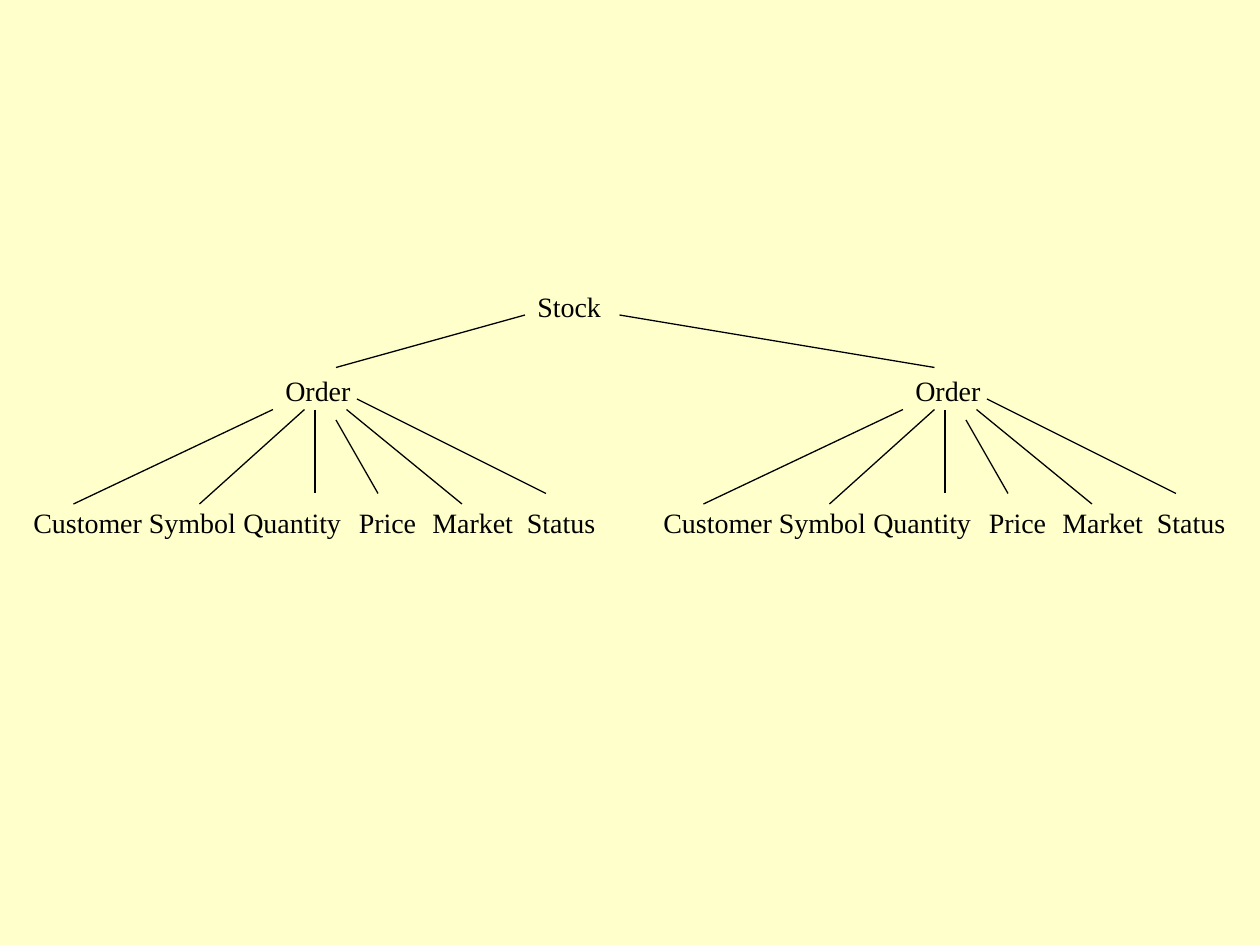
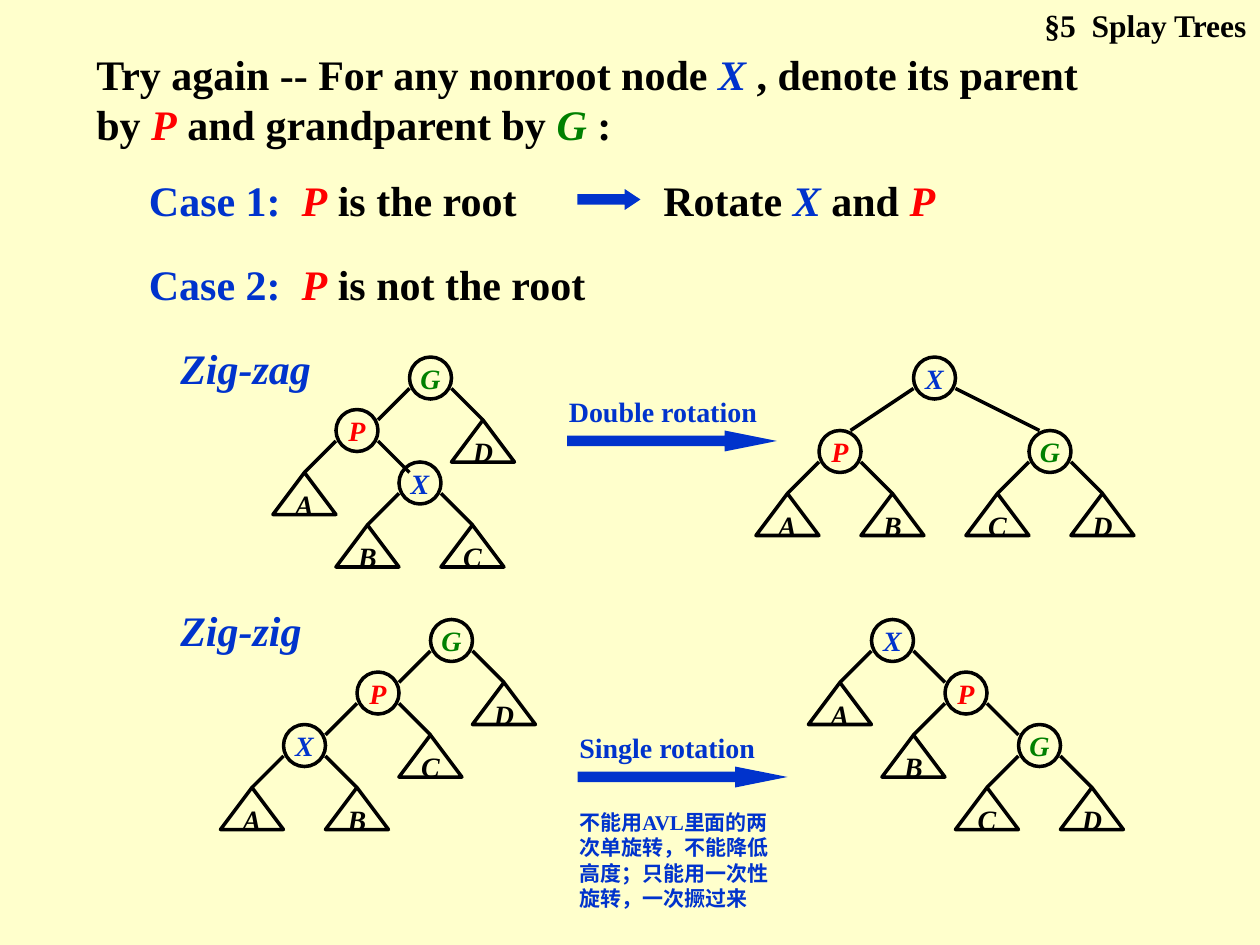
from dataclasses import dataclass
from typing import Union

from pptx import Presentation
from pptx.dml.color import RGBColor
from pptx.enum.shapes import MSO_CONNECTOR, MSO_SHAPE
from pptx.enum.text import MSO_ANCHOR, MSO_AUTO_SIZE, PP_ALIGN
from pptx.oxml.ns import qn
from pptx.util import Inches, Pt

COLORS = {"page": "FFFFCC", "ink": "000000", "blue": "0033CC",
          "red": "FF0000", "green": "008000"}
NODE_COLORS = {"X": "blue", "P": "red", "G": "green"}
FONT = "Times New Roman"
LINE_PITCH = 1.2


def grid(units):
    """Both slides are laid out on a grid of twelve units to the inch."""
    return Inches(units / 12)


def rgb(name):
    return RGBColor.from_string(COLORS[name])


@dataclass
class Node:
    """Tree node; a plain string as child is a subtree triangle."""
    name: str
    left: Union["Node", str]
    right: Union["Node", str]
    left_step: tuple = (-7, 5)
    right_step: tuple = (7, 5)
    left_arm: tuple = (-3, 3)
    right_arm: tuple = (3, 3)


class Deck:
    def __init__(self):
        self.prs = Presentation()
        self.prs.slide_width, self.prs.slide_height = Inches(10), Inches(7.5)
        self.slide = None

    def new_slide(self):
        self.slide = self.prs.slides.add_slide(self.prs.slide_layouts[6])
        fill = self.slide.background.fill
        fill.solid()
        fill.fore_color.rgb = rgb("page")

    def add_runs(self, paragraph, parts, size, color="ink", align=PP_ALIGN.LEFT, **style):
        """Add runs; a part is a string or a (string, colour) pair."""
        paragraph.alignment = align
        paragraph.line_spacing = Pt(size * LINE_PITCH)
        for part in parts:
            words, tint = part if isinstance(part, tuple) else (part, color)
            node_tint = NODE_COLORS.get(words.strip())
            run = paragraph.add_run()
            run.text = words
            look = {"name": FONT, "size": Pt(size), **style}
            if node_tint:
                look["italic"] = True
            for key, value in look.items():
                setattr(run.font, key, value)
            run.font.color.rgb = rgb(node_tint or tint)

    def text(self, x, y, w, h, *parts, size=24, wrap=True, **style):
        frame = self.slide.shapes.add_textbox(grid(x), grid(y), grid(w), grid(h)).text_frame
        frame.word_wrap = wrap
        frame.auto_size = MSO_AUTO_SIZE.SHAPE_TO_FIT_TEXT
        self.add_runs(frame.paragraphs[0], parts, size, **style)
        return frame

    def line(self, start, end, width):
        link = self.slide.shapes.add_connector(
            MSO_CONNECTOR.STRAIGHT, *map(grid, start), *map(grid, end))
        link.line.color.rgb = rgb("ink")
        link.line.width = Pt(width)
        properties = link._element.spPr
        properties.append(properties.makeelement(qn("a:effectLst"), {}))

    def arrow(self, x, y, w, head):
        arrow = self.slide.shapes.add_shape(
            MSO_SHAPE.RIGHT_ARROW, grid(x), grid(y), grid(w), grid(2))
        arrow.shadow.inherit = False
        arrow.adjustments[0], arrow.adjustments[1] = 0.5, head
        arrow.fill.solid()
        arrow.fill.fore_color.rgb = rgb("blue")
        arrow.line.fill.background()

    def outline(self, kind, x, y, w, label):
        shape = self.slide.shapes.add_shape(kind, grid(x), grid(y), grid(w), grid(4))
        shape.shadow.inherit = False
        shape.fill.background()
        shape.line.color.rgb = rgb("ink")
        shape.line.width = Pt(2)
        frame = shape.text_frame
        frame.word_wrap = False
        frame.vertical_anchor = MSO_ANCHOR.MIDDLE
        self.add_runs(frame.paragraphs[0], [label], 16, align=PP_ALIGN.CENTER,
                      bold=True, italic=True)

    def tree(self, node, x, y):
        """Draw a node, its two arms and, below them, its children."""
        self.outline(MSO_SHAPE.OVAL, x, y, 4, node.name)
        sides = ((node.left, x, node.left_arm, node.left_step),
                 (node.right, x + 4, node.right_arm, node.right_step))
        for child, arm_x, (dx, dy), (step_x, step_y) in sides:
            tip_x, tip_y = arm_x + dx, y + 3 + dy
            self.line((arm_x, y + 3), (tip_x, tip_y), 2)
            if isinstance(child, Node):
                self.tree(child, x + step_x, y + step_y)
            else:
                self.outline(MSO_SHAPE.ISOSCELES_TRIANGLE, tip_x - 3, tip_y, 6, child)


# Field label, its left and width, and the line that leads to it
ORDER_FIELDS = [
    ("Customer", 2, 12.8, (26, 39), (7, 48)),
    ("Symbol", 13, 10.7, (29, 39), (19, 48)),
    ("Quantity", 22, 11.8, (30, 39), (30, 47)),
    ("Price", 33, 7.9, (32, 40), (36, 47)),
    ("Market", 40, 10.2, (33, 39), (44, 48)),
    ("Status", 49, 9, (34, 38), (52, 47)),
]


def stock_slide(deck):
    deck.new_slide()
    label = {"size": 16, "wrap": False}
    deck.text(50, 27, 8.5, 4.4, "Stock", **label)

    # Two orders, half a slide apart
    for shift in (0, 60):
        deck.text(26 + shift, 35, 8.6, 4.4, "Order", **label)
        for field, x, w, start, end in ORDER_FIELDS:
            deck.text(x + shift, 47.6, w, 4.4, field, **label)
            deck.line((start[0] + shift, start[1]), (end[0] + shift, end[1]), 0.75)
    deck.line((50, 30), (32, 35), 0.75)
    deck.line((59, 30), (89, 35), 0.75)


def splay_slide(deck):
    deck.new_slide()
    bold = {"bold": True}
    blue = {"bold": True, "color": "blue"}

    # Heading and cases
    deck.text(94, 0, 25.9, 4.8, "§5  Splay Trees", size=18, align=PP_ALIGN.RIGHT, **bold)
    deck.text(8, 4, 99, 10.8, "Try again -- For any nonroot node ", "X",
              " , denote its parent by ", "P", " and grandparent by ", "G ", ":", **bold)
    deck.text(13, 16, 44, 6, ("Case 1:  ", "blue"), "P", " is the root", **bold)
    deck.arrow(55, 18, 6, 0.75)
    deck.text(62, 16, 32, 6, "Rotate ", "X", " and ", "P", **bold)
    deck.text(13, 24, 53, 6, ("Case 2:  ", "blue"), "P", " is not the root", **bold)

    # Zig-zag: double rotation
    deck.text(16, 32, 17, 6, "Zig-zag", italic=True, **blue)
    deck.tree(Node("G", Node("P", "A", Node("X", "B", "C"), right_step=(6, 5)), "D"), 39, 34)
    deck.tree(Node("X", Node("P", "A", "B"), Node("G", "C", "D"),
                   left_step=(-9, 7), right_step=(11, 7),
                   left_arm=(-6, 4), right_arm=(8, 4)), 87, 34)
    deck.arrow(54, 41, 20, 2.5)
    deck.text(53, 37, 21, 4.4, "Double rotation", size=16, **blue)

    # Zig-zig: single rotation
    deck.text(16, 57, 17, 6, "Zig-zig", italic=True, **blue)
    deck.tree(Node("G", Node("P", Node("X", "A", "B"), "C"), "D"), 41, 59)
    deck.tree(Node("X", "A", Node("P", "B", Node("G", "C", "D"))), 83, 59)
    deck.arrow(55, 73, 20, 2.5)
    rotation = deck.text(54, 69, 21, 19, "Single rotation", size=16, **blue)
    remark = rotation.add_paragraph()
    remark.space_before = Pt(26)
    deck.add_runs(remark, ["不能用AVL里面的两次单旋转，不能降低高度；只能用一次性旋转，一次撅过来"],
                  12, **blue)


def main():
    deck = Deck()
    stock_slide(deck)
    splay_slide(deck)
    deck.prs.save("out.pptx")


if __name__ == "__main__":
    main()
